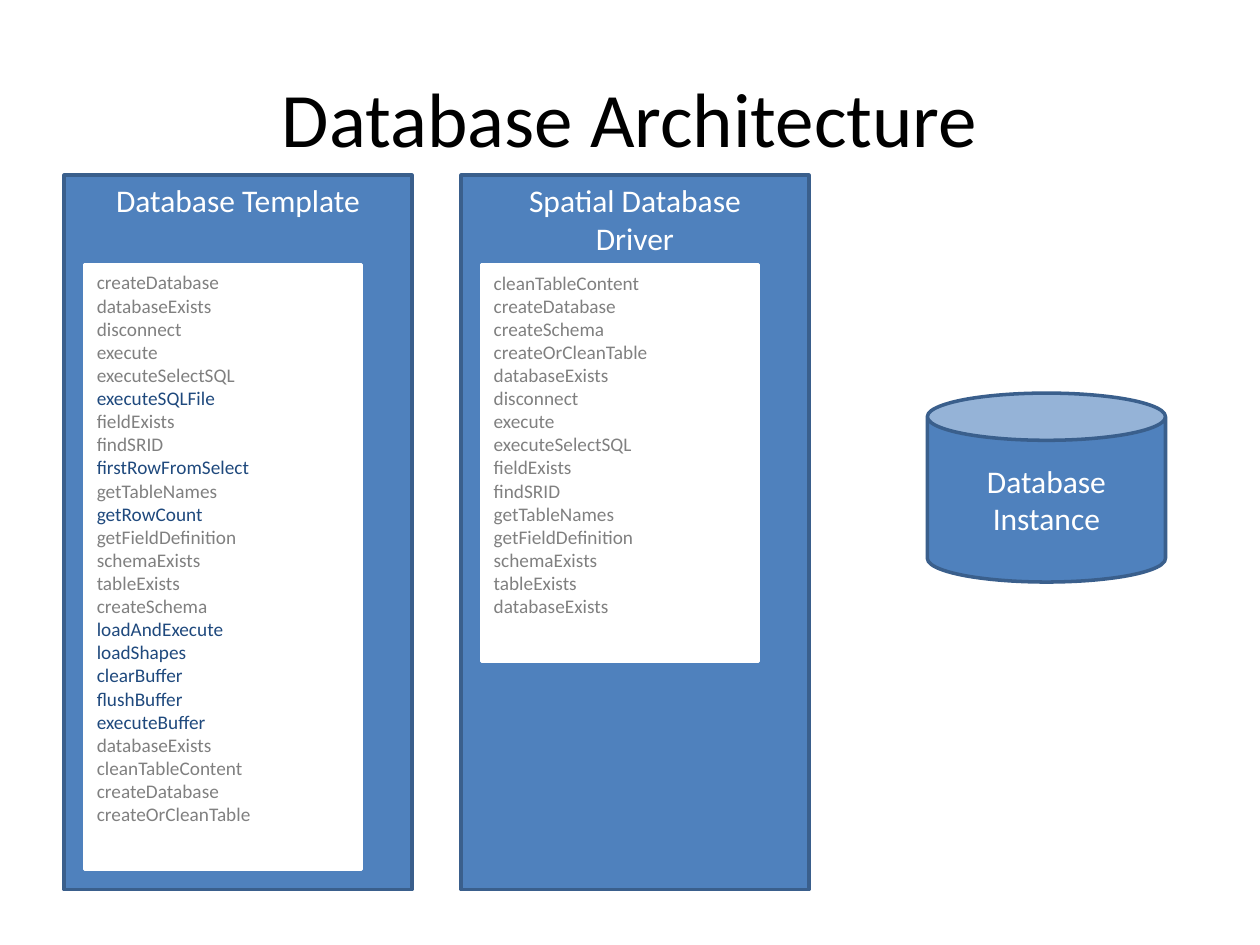
from dataclasses import dataclass

import pptx
import pptx.dml.color
import pptx.enum.shapes
import pptx.enum.text
import pptx.util

Inches = pptx.util.Inches
SHAPE = pptx.enum.shapes.MSO_SHAPE
ALIGN = pptx.enum.text.PP_ALIGN
ANCHOR = pptx.enum.text.MSO_ANCHOR


@dataclass(frozen=True)
class Theme:
    font: str = "Calibri"
    title_size: int = 44
    heading_size: int = 18
    method_size: int = 11
    line_width: int = 2
    black: str = "000000"
    white: str = "FFFFFF"
    blue: str = "4F81BD"
    outline: str = "3A5F8C"
    inherited: str = "808080"
    implemented: str = "1F497D"


THEME = Theme()

TEMPLATE_METHODS = """createDatabase databaseExists disconnect execute executeSelectSQL
executeSQLFile fieldExists findSRID firstRowFromSelect getTableNames getRowCount
getFieldDefinition schemaExists tableExists createSchema loadAndExecute loadShapes
clearBuffer flushBuffer executeBuffer databaseExists cleanTableContent
createDatabase createOrCleanTable""".split()

# Methods that the template itself implements
IMPLEMENTED = {
    "executeSQLFile", "firstRowFromSelect", "getRowCount", "loadAndExecute",
    "loadShapes", "clearBuffer", "flushBuffer", "executeBuffer",
}

DRIVER_METHODS = """cleanTableContent createDatabase createSchema createOrCleanTable
databaseExists disconnect execute executeSelectSQL fieldExists findSRID
getTableNames getFieldDefinition schemaExists tableExists databaseExists""".split()


def rgb(color):
    return pptx.dml.color.RGBColor.from_string(color)


def write(shape, lines, size, color, align, anchor):
    """Fill a shape with one paragraph per line."""
    frame = shape.text_frame
    frame.word_wrap = True
    frame.vertical_anchor = anchor
    frame.text = "\n".join(lines)
    for paragraph in frame.paragraphs:
        paragraph.alignment = align
        font = paragraph.runs[0].font
        font.name = THEME.font
        font.size = pptx.util.Pt(size)
        font.color.rgb = rgb(color)


def add_block(slide, kind, box, fill, line):
    block = slide.shapes.add_shape(kind, *map(Inches, box))
    block.shadow.inherit = False
    block.fill.solid()
    block.fill.fore_color.rgb = rgb(fill)
    block.line.color.rgb = rgb(line)
    block.line.width = pptx.util.Pt(THEME.line_width)
    return block


def add_title(slide, box, text):
    title = slide.shapes.add_textbox(*map(Inches, box))
    write(title, [text], THEME.title_size, THEME.black, ALIGN.CENTER, ANCHOR.MIDDLE)


def add_class_panel(slide, box, heading, methods, list_height, highlighted=()):
    """Blue panel with a heading and a white list of methods."""
    left, top, width, height = box
    panel = add_block(slide, SHAPE.RECTANGLE, box, THEME.blue, THEME.outline)
    write(panel, heading, THEME.heading_size, THEME.white, ALIGN.CENTER, ANCHOR.TOP)

    list_box = (left + 0.16, top + 0.71, width - 0.56, list_height)
    method_list = add_block(slide, SHAPE.RECTANGLE, list_box, THEME.white, THEME.white)
    write(method_list, methods, THEME.method_size, THEME.inherited, ALIGN.LEFT, ANCHOR.TOP)
    for paragraph in method_list.text_frame.paragraphs:
        if paragraph.text in highlighted:
            paragraph.runs[0].font.color.rgb = rgb(THEME.implemented)


def add_database(slide, box, label):
    database = add_block(slide, SHAPE.CAN, box, THEME.blue, THEME.outline)
    write(database, label, THEME.heading_size, THEME.white, ALIGN.CENTER, ANCHOR.MIDDLE)


def main():
    deck = pptx.Presentation()
    deck.slide_width, deck.slide_height = Inches(10), Inches(7.5)
    slide = deck.slides.add_slide(deck.slide_layouts[6])

    add_title(slide, (0.5, 0.3, 9, 1.25), "Database Architecture")
    add_class_panel(slide, (0.51, 1.39, 2.76, 5.67), ["Database Template"],
                    TEMPLATE_METHODS, 4.8, IMPLEMENTED)
    add_class_panel(slide, (3.66, 1.39, 2.76, 5.67), ["Spatial Database", "Driver"],
                    DRIVER_METHODS, 3.15)
    add_database(slide, (7.36, 3.12, 1.89, 1.5), ["Database", "Instance"])

    deck.save("out.pptx")


if __name__ == "__main__":
    main()
